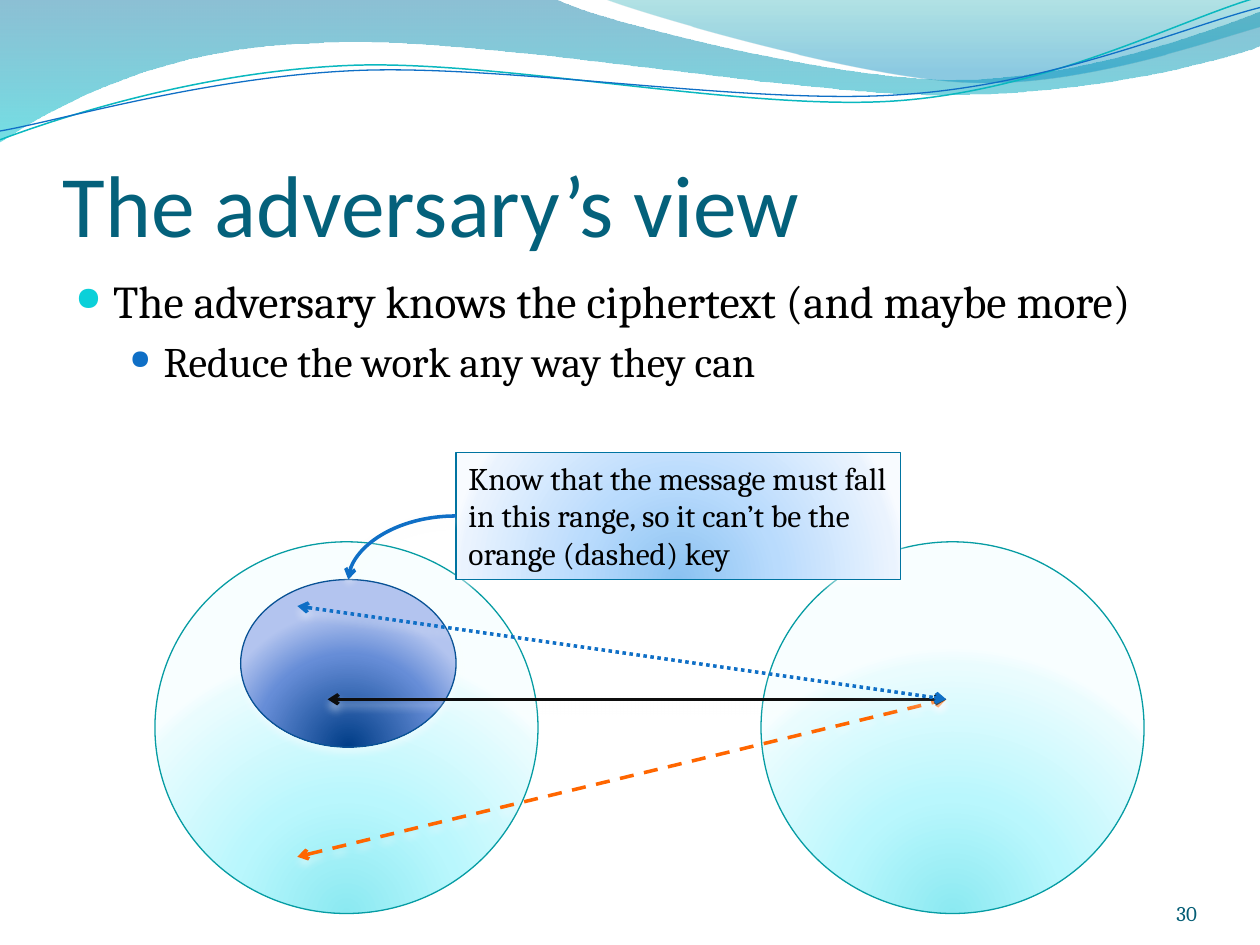
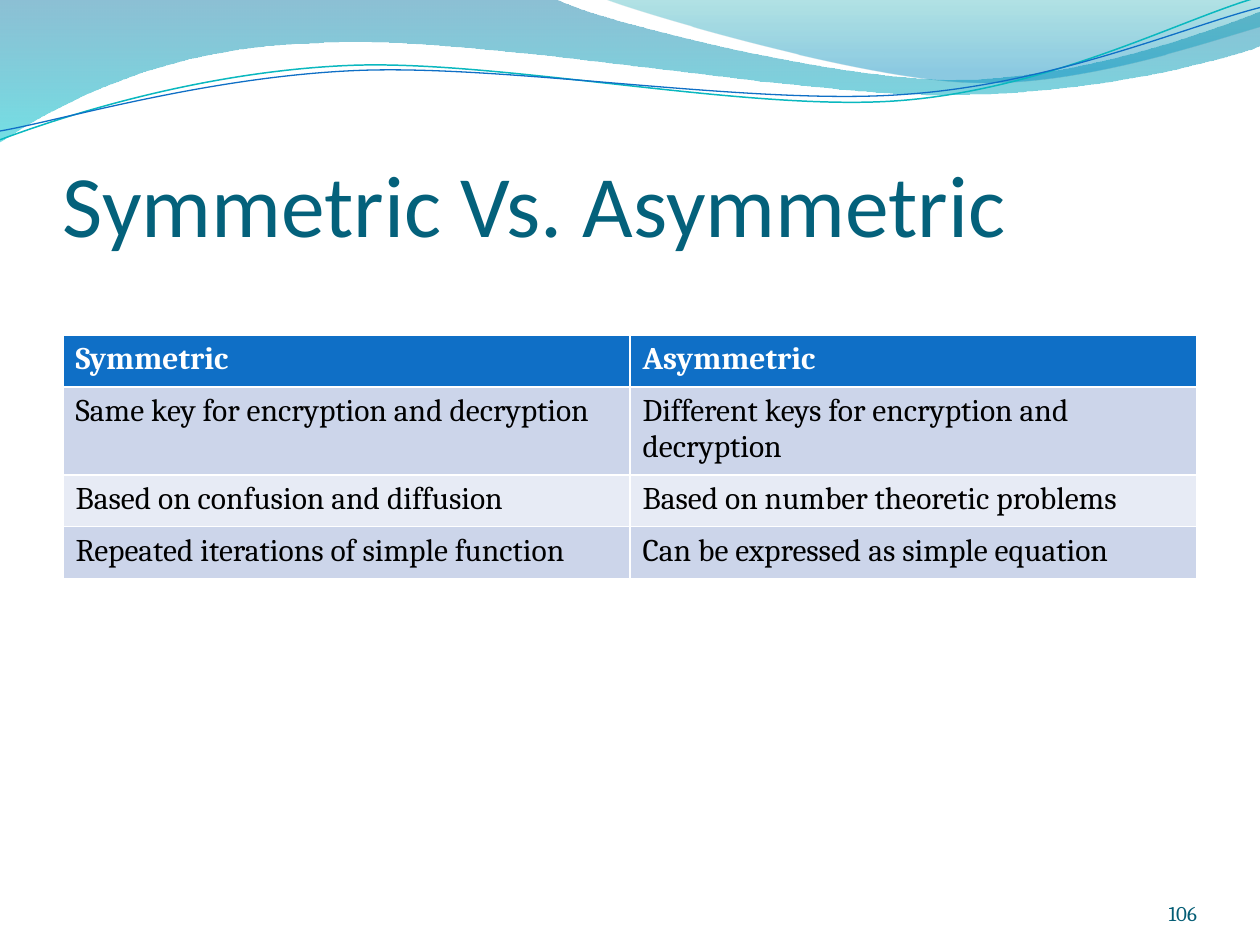
from dataclasses import dataclass

from lxml import etree
from pptx import Presentation
from pptx.dml.color import RGBColor
from pptx.enum.dml import MSO_LINE
from pptx.enum.shapes import MSO_CONNECTOR, MSO_SHAPE
from pptx.enum.text import MSO_ANCHOR, MSO_AUTO_SIZE, PP_ALIGN
from pptx.oxml import parse_xml
from pptx.oxml.ns import nsdecls, qn
from pptx.util import Inches, Pt

OVAL, RECTANGLE = MSO_SHAPE.OVAL, MSO_SHAPE.RECTANGLE
STRAIGHT, CURVE = MSO_CONNECTOR.STRAIGHT, MSO_CONNECTOR.CURVE
DASH, DOT = MSO_LINE.DASH, MSO_LINE.ROUND_DOT
TOP, BOTTOM = MSO_ANCHOR.TOP, MSO_ANCHOR.BOTTOM
LEFT, RIGHT = PP_ALIGN.LEFT, PP_ALIGN.RIGHT


@dataclass(frozen=True)
class Theme:
    heading_font: str = "Calibri"
    body_font: str = "Cambria"
    title_size: int = 50
    bullet_sizes: tuple = (26, 24)
    label_size: int = 18
    number_size: int = 12
    title: str = "04617B"
    number: str = "045D75"
    text: str = "000000"
    white: str = "FFFFFF"
    blue: str = "0F6FC6"
    teal: str = "0AB8BF"
    bullets: tuple = ("0BD0D9", "0F6FC6")
    bands: tuple = ("CCD5EA", "E7EBF5")
    key_black: str = "0D0D0D"
    key_orange: str = "FF6600"
    disk_line: str = "069CA3"
    range_line: str = "095295"
    callout_line: str = "0074A1"
    # Gradient stops: position, colour, opacity
    wave_wide: tuple = ((0, "0074A1", 45), (100, "00C6CF", 55))
    wave_right: tuple = ((0, "00A1A9", 30), (80, "008BBF", 45))
    disk: tuple = ((0, "8BE9F1", 100), (43, "B9F7FD", 100), (93, "EAFCFE", 100), (100, "F8FEFF", 100))
    range: tuple = ((0, "003D87", 100), (68, "668DD7", 100), (100, "B3C4EF", 100))
    callout: tuple = ((0, "8BC2F1", 100), (43, "B9DBFD", 100), (93, "EAF3FE", 100), (100, "F8FBFF", 100))


theme = Theme()
LINEAR = '<a:lin ang="5400000" scaled="0"/>'
RADIAL = '<a:path path="circle"><a:fillToRect l="50000" t="130000" r="50000" b="-30000"/></a:path>'

deck = Presentation()
deck.slide_width, deck.slide_height = Inches(10), Inches(7.5)
CELL = deck.slide_width / 10  # the slide is a grid of 10 columns by 7.5 rows


def cells(*lengths):
    """Turn lengths in grid cells into EMU."""
    return [round(length * CELL) for length in lengths]


def paint(shape, line=None, width=0.75, stops=None, direction=RADIAL, glow=True):
    """Set line, gradient fill and soft white shadow of a shape or connector."""
    properties = shape.element.spPr
    if line:
        shape.line.color.rgb = RGBColor.from_string(line)
        shape.line.width = Pt(width)
    else:
        shape.line.fill.background()
    if stops:
        shape.fill.solid()
        stop_list = "".join(
            f'<a:gs pos="{position * 1000}"><a:srgbClr val="{colour}">'
            f'<a:alpha val="{opacity * 1000}"/></a:srgbClr></a:gs>'
            for position, colour, opacity in stops)
        gradient = parse_xml(f'<a:gradFill {nsdecls("a")} rotWithShape="1">'
                             f'<a:gsLst>{stop_list}</a:gsLst>{direction}</a:gradFill>')
        properties.replace(properties.find(qn("a:solidFill")), gradient)
    effects = etree.SubElement(properties, qn("a:effectLst"))
    if glow:
        effects.append(parse_xml(
            f'<a:outerShdw {nsdecls("a")} blurRad="{Pt(4.5)}" dist="{Pt(3)}" dir="5400000" rotWithShape="0">'
            f'<a:srgbClr val="{theme.white}"><a:alpha val="48000"/></a:srgbClr></a:outerShdw>'))


pages = [deck.slides.add_slide(deck.slide_layouts[6]) for _ in range(2)]
view_page, comparison_page = pages

# Waves on the master: a start, then segments of one point (line) or three (Bezier curve)
waves = [
    ([(0, 0), [(4.4, -0.01)],
      [(4.76, 0.17), (6.64, 0.63), (7.58, 0.63)], [(8.53, 0.63), (9.58, 0.26), (10, 0.09)],
      [(10.01, 0.36)],
      [(9.83, 0.44), (8.7, 0.76), (7.46, 0.75)], [(6.22, 0.75), (3.82, 0.28), (2.57, 0.34)],
      [(1.29, 0.36), (0.46, 0.83), (-0.01, 1.13)], [(0, 0)]],
     dict(stops=theme.wave_wide, direction=LINEAR)),
    ([(4.79, -0.01),
      [(5.09, 0.11), (6.82, 0.62), (7.69, 0.65)], [(8.56, 0.69), (9.61, 0.32), (10, 0.21)],
      [(10, 0)], [(4.79, -0.01)]],
     dict(stops=theme.wave_right, direction=LINEAR)),
    ([(0, 1.11),
      [(0.48, 0.93), (1.58, 0.57), (2.77, 0.52)], [(3.95, 0.47), (5.93, 0.89), (7.13, 0.8)],
      [(8.33, 0.71), (9.38, 0.15), (9.98, -0.02)]],
     dict(line=theme.teal, width=0.85)),
    ([(0, 1.04),
      [(0.47, 0.96), (1.64, 0.61), (2.83, 0.56)], [(4.03, 0.51), (5.97, 0.84), (7.17, 0.75)],
      [(8.36, 0.67), (9.41, 0.21), (10, 0.06)]],
     dict(line=theme.blue)),
]
for wave_id, ((start, *segments), look) in enumerate(waves, 101):
    outline = view_page.shapes.build_freeform(*cells(*start))
    points = [cells(*point) for segment in segments for point in segment]
    outline.add_line_segments(points, close="stops" in look)
    wave = outline.convert_to_shape()
    wave.fill.background()
    paint(wave, glow=False, **look)
    corners = iter(list(wave.element.iter(qn("a:lnTo"))))
    for segment in segments:
        first, *others = [next(corners) for _ in segment]
        if others:
            curve = etree.Element(qn("a:cubicBezTo"))
            first.addprevious(curve)
            for corner in (first, *others):
                curve.append(corner[0])
                corner.getparent().remove(corner)
    wave.element.nvSpPr.cNvPr.set("id", str(wave_id))
    deck.slide_master.shapes.element.append(wave.element)

# Titles and slide numbers
for page, title, number in zip(pages, ("The adversary’s view", "Symmetric Vs. Asymmetric"), ("30", "106")):
    for text, place, top_inset, align, font, size, colour in [
        (title, (0.5, 0.77, 9, 1.25), 0.05, LEFT, theme.heading_font, theme.title_size, theme.title),
        (number, (8.67, 6.95, 0.83, 0.4), 0, RIGHT, theme.body_font, theme.number_size, theme.number),
    ]:
        frame = page.shapes.add_textbox(*cells(*place)).text_frame
        frame.word_wrap = True
        frame.vertical_anchor = BOTTOM
        frame.margin_left = frame.margin_right = frame.margin_bottom = 0
        frame.margin_top = Inches(top_inset)
        para = frame.paragraphs[0]
        para.text, para.alignment = text, align
        para.font.name, para.font.size = font, Pt(size)
        para.font.color.rgb = RGBColor.from_string(colour)

# The adversary's view: bullets
frame = view_page.shapes.add_textbox(*cells(0.5, 2.12, 9, 2.18)).text_frame
frame.word_wrap = True
bullets = [("The adversary knows the ciphertext (and maybe more)", 0.3, -0.3, 73),
           ("Reduce the work any way they can", 0.7, -0.27, 64)]
for level, (text, margin, indent, bullet_share) in enumerate(bullets):
    para = frame.add_paragraph() if level else frame.paragraphs[0]
    size = theme.bullet_sizes[level]
    para.text, para.level = text, level
    para.space_before = Pt(0.18 * size if level else 0)
    properties = para._p.get_or_add_pPr()
    properties.set("marL", str(Inches(margin)))
    properties.set("indent", str(Inches(indent)))
    colour = etree.SubElement(properties, qn("a:buClr"))
    etree.SubElement(colour, qn("a:srgbClr"), val=theme.bullets[level])
    etree.SubElement(properties, qn("a:buSzPct"), val=str(bullet_share * 1000))
    etree.SubElement(properties, qn("a:buChar"), char="●")
    para.font.name, para.font.size = theme.body_font, Pt(size)
    para.font.color.rgb = RGBColor.from_string(theme.text)

# Message and ciphertext spaces, the known range and its callout
shapes = view_page.shapes
for left in (1.23, 6.04):
    disk = shapes.add_shape(OVAL, *cells(left, 4.3, 3.04, 2.95))
    paint(disk, theme.disk_line, stops=theme.disk)

ciphertext = (7.51, 5.55)
keys = [((2.36, 6.8), ciphertext, theme.key_orange, DASH),
        (ciphertext, (2.6, 5.55), theme.key_black, None),
        ((2.36, 4.81), ciphertext, theme.blue, DOT)]
arrows = []
for start, end, colour, dash in keys:
    arrow = shapes.add_connector(STRAIGHT, *cells(*start, *end))
    paint(arrow, colour, 2)
    if dash:
        arrow.line.dash_style = dash
    arrows.append((arrow, ("a:headEnd", "a:tailEnd")))
    if colour == theme.key_orange:  # the range and callout lie over this key only
        known_range = shapes.add_shape(OVAL, *cells(1.91, 4.6, 1.71, 1.33))
        paint(known_range, theme.range_line, stops=theme.range)
        callout = shapes.add_shape(RECTANGLE, *cells(3.62, 3.59, 3.53, 1.01))
        paint(callout, theme.callout_line, stops=theme.callout)

frame = callout.text_frame
frame.word_wrap = True
frame.auto_size = MSO_AUTO_SIZE.SHAPE_TO_FIT_TEXT
frame.vertical_anchor = TOP
para = frame.paragraphs[0]
para.text = "Know that the message must fall in this range, so it can’t be the orange (dashed) key"
para.alignment = LEFT
para.font.name, para.font.size = theme.body_font, Pt(theme.label_size)
para.font.color.rgb = RGBColor.from_string(theme.text)

pointer = shapes.add_connector(CURVE, *cells(3.62, 4.1, 2.76, 4.6))
pointer.begin_connect(callout, 1)
pointer.end_connect(known_range, 0)
pointer.element.spPr.find(qn("a:prstGeom")).set("prst", "curvedConnector2")
paint(pointer, theme.blue, 2)
arrows.append((pointer, ("a:tailEnd",)))

for arrow, ends in arrows:
    for end in ends:
        etree.SubElement(arrow.element.spPr.find(qn("a:ln")), qn(end), type="arrow")

# Symmetric against asymmetric: table
rows = [("Symmetric", "Asymmetric"),
        ("Same key for encryption and decryption", "Different keys for encryption and decryption"),
        ("Based on confusion and diffusion", "Based on number theoretic problems"),
        ("Repeated iterations of simple function", "Can be expressed as simple equation")]
table = comparison_page.shapes.add_table(len(rows), 2, *cells(0.5, 2.66, 9, 0.41 * len(rows))).table
for row, texts in enumerate(rows):
    header = row == 0
    fill = theme.blue if header else theme.bands[(row - 1) % 2]
    for column, text in enumerate(texts):
        cell = table.cell(row, column)
        cell.fill.solid()
        cell.fill.fore_color.rgb = RGBColor.from_string(fill)
        para = cell.text_frame.paragraphs[0]
        para.text = text
        para.font.name, para.font.size, para.font.bold = theme.body_font, Pt(theme.label_size), header
        para.font.color.rgb = RGBColor.from_string(theme.white if header else theme.text)

deck.save("out.pptx")
